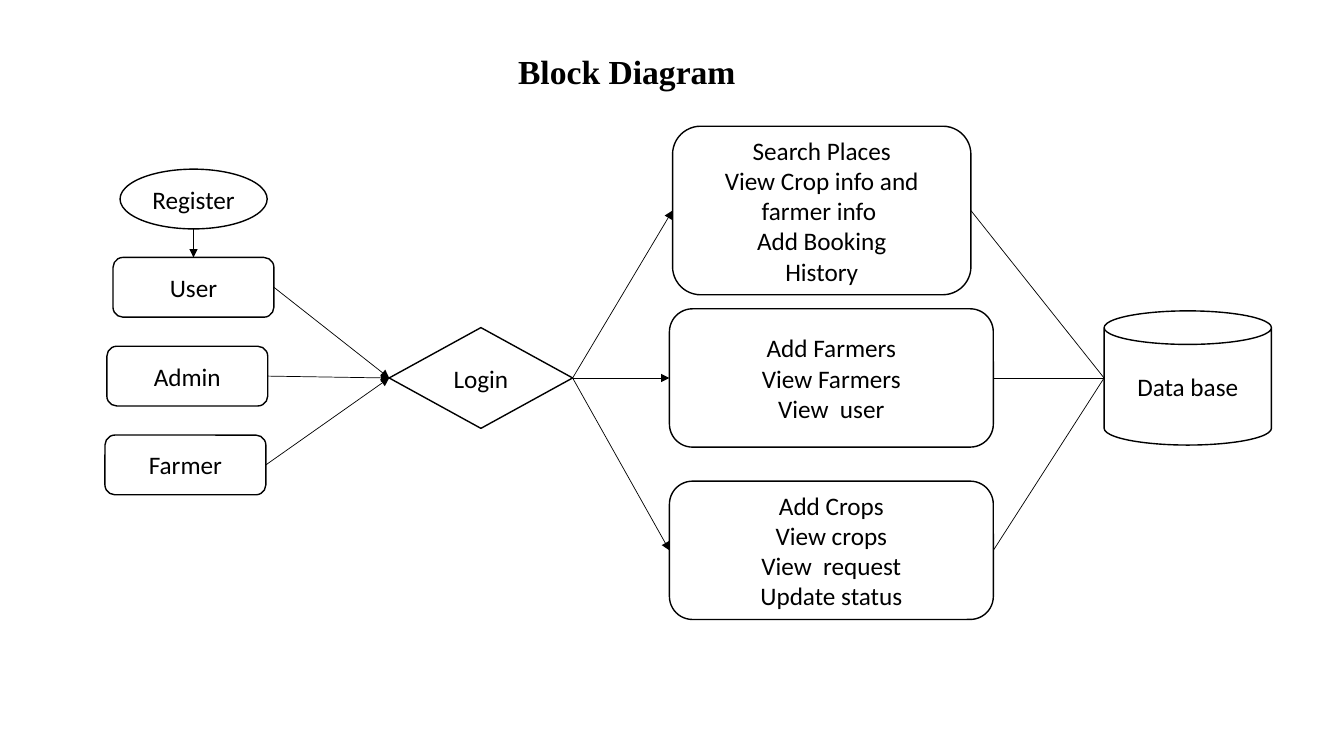
from lxml.etree import SubElement
from pptx import Presentation
from pptx.dml.color import RGBColor
from pptx.enum.shapes import MSO_CONNECTOR, MSO_SHAPE
from pptx.enum.text import MSO_ANCHOR, MSO_AUTO_SIZE, PP_ALIGN
from pptx.oxml.ns import qn
from pptx.util import Inches, Pt

HEADING = "Block Diagram"
ROLES = [("User", 8.41), ("Admin", 7.95), ("Farmer", 7.81)]
TASKS = [
    ("Search", ["Search Places", "View Crop info and farmer info ",
                "Add Booking", "History"], 50.04, 27.85, 22.2, 22.3),
    ("Farmers", ["Add Farmers", "View Farmers", "View  user"],
     49.81, 50, 24.1, 18.3),
    ("Crops", ["Add Crops", "View crops", "View  request", "Update status"],
     49.81, 72.8, 24.1, 18.3),
]
FIRST_ROLE, ROLE_PITCH = 38, 11.75
ROLE_WIDTH, ROLE_HEIGHT = 11.97, 7.9

BLACK = RGBColor(0, 0, 0)
WHITE = RGBColor(255, 255, 255)

ROUNDED, OVAL = MSO_SHAPE.ROUNDED_RECTANGLE, MSO_SHAPE.OVAL
DIAMOND, CAN = MSO_SHAPE.DIAMOND, MSO_SHAPE.CAN
BLOCKS = [("Register", OVAL, ["Register"], 8.93, 26.33, 10.95, 7.9)]
BLOCKS += [(role, ROUNDED, [role], left, FIRST_ROLE + row * ROLE_PITCH,
            ROLE_WIDTH, ROLE_HEIGHT)
           for row, (role, left) in enumerate(ROLES)]
BLOCKS += [("Login", DIAMOND, ["Login"], 28.96, 50, 13.65, 13.33)]
BLOCKS += [(task, ROUNDED, *rest) for task, *rest in TASKS]
BLOCKS += [("Database", CAN, ["Data base"], 82.15, 50, 12.45, 17.75)]

LINKS = [("Register", "bottom", "User", "top", True)]
LINKS += [(role, "right", "Login", "left", True) for role, _ in ROLES]
LINKS += [("Login", "right", task[0], "left", True) for task in TASKS]
LINKS += [(task[0], "right", "Database", "left", False) for task in TASKS]

SIDES = {"top": (0.5, 0), "left": (0, 0.5), "bottom": (0.5, 1), "right": (1, 0.5)}
FOUR_SITES = {"top": 0, "left": 1, "bottom": 2, "right": 3}
SITES = {
    OVAL: {"top": 0, "left": 2, "bottom": 4, "right": 6},
    CAN: {"top": 1, "left": 2, "bottom": 3, "right": 4},
}

deck = Presentation()
deck.slide_width, deck.slide_height = Inches(13.33), Inches(7.5)
slide = deck.slides.add_slide(deck.slide_layouts[5])


def across(share):
    return round(deck.slide_width * share / 100)


def down(share):
    return round(deck.slide_height * share / 100)


def write(frame, lines, font="Calibri", size=18, bold=False,
          align=PP_ALIGN.CENTER, spacing=None):
    frame.word_wrap = True
    frame.auto_size = MSO_AUTO_SIZE.NONE
    frame.vertical_anchor = MSO_ANCHOR.MIDDLE
    for row, line in enumerate(lines):
        paragraph = frame.paragraphs[0] if row == 0 else frame.add_paragraph()
        paragraph.alignment = align
        paragraph.line_spacing = spacing
        run = paragraph.add_run()
        run.text = line
        run.font.name, run.font.size, run.font.bold = font, Pt(size), bold
        run.font.color.rgb = BLACK


def add_block(kind, lines, left, centre, width, height):
    block = slide.shapes.add_shape(kind, across(left), down(centre - height / 2),
                                   across(width), down(height))
    block.shadow.inherit = False
    block.fill.solid()
    block.fill.fore_color.rgb = WHITE
    block.line.color.rgb = BLACK
    block.line.width = Pt(1)
    write(block.text_frame, lines)
    return block


def edge(block, side):
    x, y = SIDES[side]
    return round(block.left + x * block.width), round(block.top + y * block.height)


def add_link(source, source_side, target, target_side, arrow):
    link = slide.shapes.add_connector(MSO_CONNECTOR.STRAIGHT,
                                      *edge(source, source_side),
                                      *edge(target, target_side))
    link.line.color.rgb = BLACK
    link.line.width = Pt(0.5)
    properties = link._element.spPr
    if arrow:
        SubElement(properties.find(qn("a:ln")), qn("a:tailEnd"), type="triangle")
    SubElement(properties, qn("a:effectLst"))
    glue = link._element.nvCxnSpPr.cNvCxnSpPr
    for tag, block, side in (("a:stCxn", source, source_side),
                             ("a:endCxn", target, target_side)):
        site = SITES.get(block.auto_shape_type, FOUR_SITES)[side]
        SubElement(glue, qn(tag), id=str(block.shape_id), idx=str(site))


title = slide.shapes.title
title.left, title.top = across(7.8), down(1.75)
title.width, title.height = across(84.4), down(13)
title.text_frame.margin_left = across(30.75)
title.text_frame.margin_top = Inches(0.28)
write(title.text_frame, [HEADING], font="Times New Roman", size=24, bold=True,
      align=PP_ALIGN.LEFT, spacing=0.9)

blocks = {key: add_block(*block) for key, *block in BLOCKS}
for source, source_side, target, target_side, arrow in LINKS:
    add_link(blocks[source], source_side, blocks[target], target_side, arrow)

deck.save("out.pptx")
